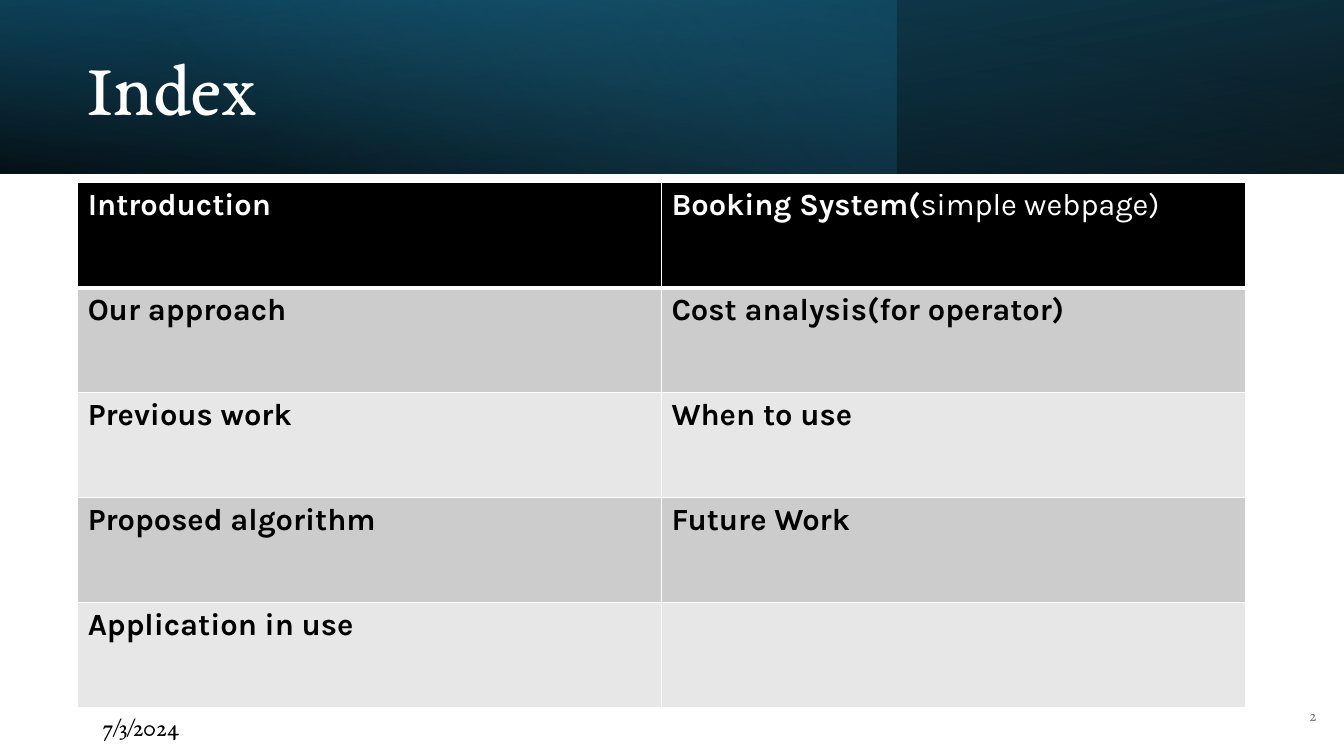
import pptx
import pptx.util
import pptx.oxml
import pptx.oxml.ns
import pptx.dml.color
import pptx.enum.shapes
import pptx.enum.text

RGBColor = pptx.dml.color.RGBColor
PP_ALIGN = pptx.enum.text.PP_ALIGN
MSO_ANCHOR = pptx.enum.text.MSO_ANCHOR

EMU_PER_PX = 9525
SLIDE_WIDTH, SLIDE_HEIGHT = 1280, 720
BANNER_HEIGHT = 165

BLACK = RGBColor(0x00, 0x00, 0x00)
WHITE = RGBColor(0xFF, 0xFF, 0xFF)
GRAY = RGBColor(0x79, 0x79, 0x79)
DARK_BAND = RGBColor(0xCC, 0xCC, 0xCC)
LIGHT_BAND = RGBColor(0xE7, 0xE7, 0xE7)
DEEP_TEAL = RGBColor(0x10, 0x48, 0x62)
TEAL = RGBColor(0x15, 0x60, 0x82)
SKY = RGBColor(0x46, 0xB1, 0xE1)

SERIF = "EB Garamond"
SANS = "Karla"

TOPICS = [
    ("Introduction", "Booking System("),
    ("Our approach", "Cost analysis(for operator)"),
    ("Previous work", "When to use"),
    ("Proposed algorithm", "Future Work"),
    ("Application in use", ""),
]
BOOKING_DETAIL = "simple webpage)"


def px(length):
    return pptx.util.Emu(length * EMU_PER_PX)


def format_font(font, face, size, color, bold=None):
    font.name = face
    font.size = pptx.util.Pt(size)
    font.color.rgb = color
    font.bold = bold


def add_banner_layer(slide, width, stops, angle, flipped=False, rotation=0):
    layer = slide.shapes.add_shape(
        pptx.enum.shapes.MSO_SHAPE.RECTANGLE, 0, 0, px(width), px(BANNER_HEIGHT))
    layer.shadow.inherit = False
    layer.line.fill.background()
    layer.rotation = rotation
    properties = layer._element.spPr
    if flipped:
        properties.find(pptx.oxml.ns.qn("a:xfrm")).set("flipH", "1")
    stop_xml = "".join(
        f'<a:gs pos="{position * 1000}"><a:srgbClr val="{color}">'
        f'<a:alpha val="{opacity * 1000}"/></a:srgbClr></a:gs>'
        for position, color, opacity in stops)
    gradient = pptx.oxml.parse_xml(
        f'<a:gradFill {pptx.oxml.ns.nsdecls("a")} rotWithShape="1">'
        f'<a:gsLst>{stop_xml}</a:gsLst>'
        f'<a:lin ang="{angle * 60000}" scaled="0"/></a:gradFill>')
    properties.find(pptx.oxml.ns.qn("a:prstGeom")).addnext(gradient)


def add_title(slide, text):
    title = slide.shapes.title
    slide.shapes._spTree.append(title._element)
    title.left, title.top, title.width, title.height = px(74), px(26), px(741), px(122)
    frame = title.text_frame
    frame.text = text
    frame.auto_size = pptx.enum.text.MSO_AUTO_SIZE.NONE
    frame.vertical_anchor = MSO_ANCHOR.MIDDLE
    paragraph = frame.paragraphs[0]
    paragraph.alignment = PP_ALIGN.LEFT
    paragraph.line_spacing = 0.9
    format_font(paragraph.font, SERIF, 54, WHITE)


def add_label(slide, text, left, top, width, height, size, color,
              alignment=PP_ALIGN.LEFT, anchor=MSO_ANCHOR.TOP):
    frame = slide.shapes.add_textbox(
        px(left), px(top), px(width), px(height)).text_frame
    frame.word_wrap = True
    frame.vertical_anchor = anchor
    paragraph = frame.paragraphs[0]
    paragraph.text = text
    paragraph.alignment = alignment
    format_font(paragraph.font, SERIF, size, color)


def set_borders(cell, top, bottom):
    properties = cell._tc.get_or_add_tcPr()
    widths = {"lnL": 1, "lnR": 1, "lnT": top, "lnB": bottom}
    for index, (side, width) in enumerate(widths.items()):
        properties.insert(index, pptx.oxml.parse_xml(
            f'<a:{side} {pptx.oxml.ns.nsdecls("a")} w="{pptx.util.Pt(width)}">'
            f'<a:solidFill><a:srgbClr val="{WHITE}"/></a:solidFill></a:{side}>'))


def add_index_table(slide):
    index_table = slide.shapes.add_table(
        len(TOPICS), 2, px(74), px(174), px(1112), px(500)).table
    for row_number, topics in enumerate(TOPICS):
        is_header = row_number == 0
        band = BLACK if is_header else DARK_BAND if row_number % 2 else LIGHT_BAND
        for column_number, topic in enumerate(topics):
            cell = index_table.cell(row_number, column_number)
            cell.fill.solid()
            cell.fill.fore_color.rgb = band
            set_borders(cell, 3 if row_number == 1 else 1, 3 if is_header else 1)
            paragraph = cell.text_frame.paragraphs[0]
            paragraph.text = topic
            format_font(paragraph.font, SANS, 22, WHITE if is_header else BLACK, True)
    booking = index_table.cell(0, 1).text_frame.paragraphs[0]
    booking.font.bold = None
    for text, bold in ((None, True), (BOOKING_DETAIL, False)):
        run = booking.add_run() if text else booking.runs[0]
        run.text = text or run.text
        format_font(run.font, SANS, 22, WHITE, bold)


def main():
    presentation = pptx.Presentation()
    presentation.slide_width = px(SLIDE_WIDTH)
    presentation.slide_height = px(SLIDE_HEIGHT)
    slide = presentation.slides.add_slide(presentation.slide_layouts[5])
    add_banner_layer(slide, SLIDE_WIDTH, [(0, BLACK, 96), (100, DEEP_TEAL, 100)],
                     100, flipped=True, rotation=180)
    add_banner_layer(slide, 854, [(0, TEAL, 41), (74, SKY, 0)], 140)
    add_banner_layer(slide, SLIDE_WIDTH, [(0, BLACK, 63), (78, TEAL, 15)],
                     260, flipped=True)
    add_title(slide, "Index")
    add_label(slide, "2", 1186, 653, 77, 55, 12, GRAY,
              PP_ALIGN.RIGHT, MSO_ANCHOR.MIDDLE)
    add_label(slide, "7/3/2024", 88, 673, 288, 38, 18, BLACK)
    add_index_table(slide)
    presentation.save("out.pptx")


if __name__ == "__main__":
    main()
